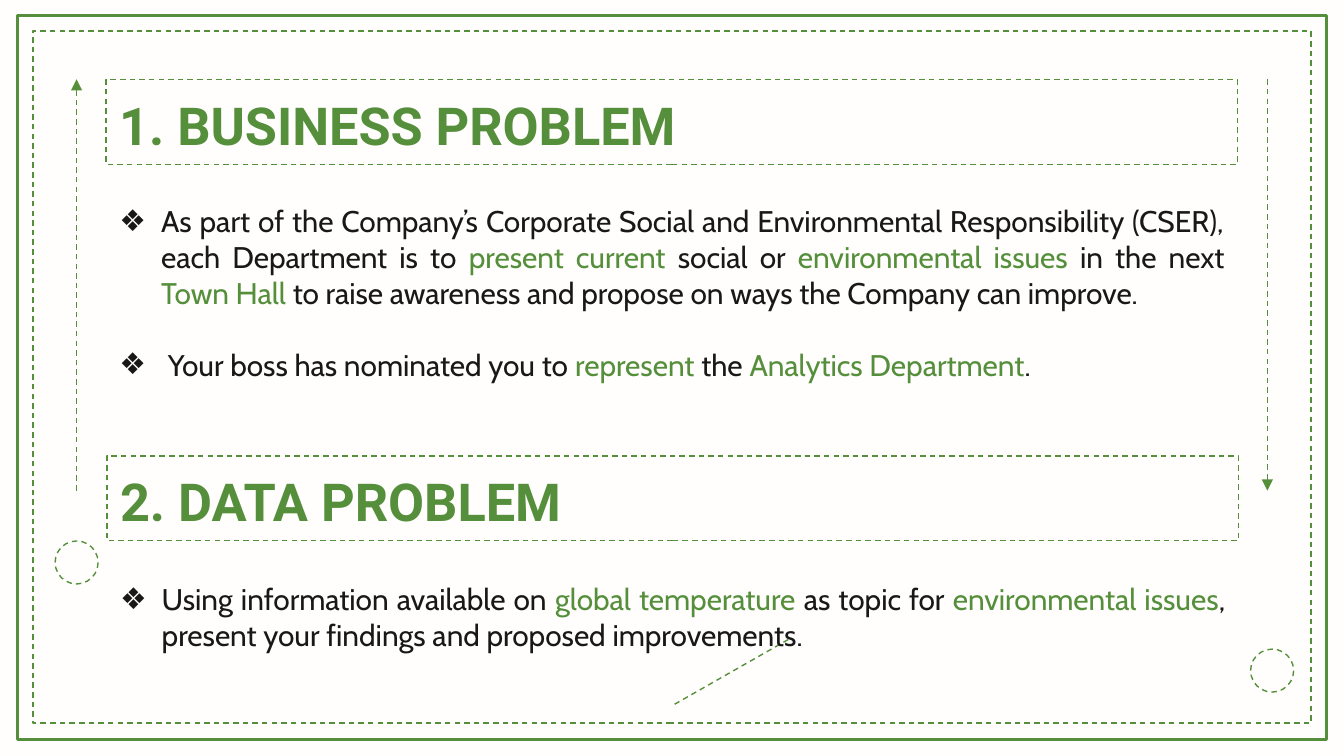
from pptx import Presentation
from pptx.dml.color import RGBColor
from pptx.enum.dml import MSO_LINE_DASH_STYLE as Dash
from pptx.enum.shapes import MSO_CONNECTOR as Connector, MSO_SHAPE as Shape
from pptx.enum.text import MSO_ANCHOR as Anchor, PP_ALIGN as Align
from pptx.oxml.ns import qn
from pptx.util import Inches, Pt
from lxml.etree import SubElement

GREEN = RGBColor(0x55, 0x8F, 0x3B)
INK = RGBColor(0x18, 0x18, 0x18)
PAPER = RGBColor(0xFF, 0xFE, 0xFC)

HEADING_FONT = "Roboto"
BODY_FONT = "Cabin"
COLUMNS = 100  # square grid cells across the slide width
INSET = Inches(0.1)
BULLET_INDENT = 0.31


def add_bullet(para, indent):
    props = para._p.get_or_add_pPr()
    props.set("marL", str(Inches(indent)))
    props.set("indent", str(-Inches(indent)))
    colour = SubElement(props, qn("a:buClr"))
    SubElement(colour, qn("a:srgbClr"), val=str(INK))
    SubElement(props, qn("a:buFont"), typeface=BODY_FONT)
    SubElement(props, qn("a:buChar"), char="❖")


def write(para, text, font, size, colour=INK, bold=False, align=Align.LEFT):
    """Fill a paragraph; the parts between asterisks turn green."""
    para.alignment = align
    for number, part in enumerate(text.split("*")):
        if part:
            span = para.add_run()
            span.text = part
            span.font.name = font
            span.font.size = Pt(size)
            span.font.bold = bold
            span.font.color.rgb = GREEN if number % 2 else colour


class ProblemSlide:
    """Draws in the slide's style, with lengths in grid cells."""

    def __init__(self, deck):
        self.page = deck.slides.add_slide(deck.slide_layouts[6])
        self.cell = deck.slide_width / COLUMNS
        self.page.background.fill.solid()
        self.page.background.fill.fore_color.rgb = PAPER

    def scale(self, *cells):
        return [round(self.cell * count) for count in cells]

    def style_line(self, line, width=0.75, dash=Dash.DASH):
        line.color.rgb = GREEN
        line.width = Pt(width)
        line.dash_style = dash

    def outline(self, kind, *place, fill=None, **line_style):
        shape = self.page.shapes.add_shape(kind, *self.scale(*place))
        shape.shadow.inherit = False
        if fill is None:
            shape.fill.background()
        else:
            shape.fill.solid()
            shape.fill.fore_color.rgb = fill
        self.style_line(shape.line, **line_style)
        return shape

    def circle(self, left, top):
        self.outline(Shape.OVAL, left, top, 3.2, 3.2, fill=PAPER)

    def line(self, *ends, arrow=False):
        line = self.page.shapes.add_connector(Connector.STRAIGHT, *self.scale(*ends))
        self.style_line(line.line)
        if arrow:
            SubElement(line.line._get_or_add_ln(), qn("a:tailEnd"), type="triangle")
        SubElement(line._element.spPr, qn("a:effectLst"))

    def text_frame(self, shape):
        frame = shape.text_frame
        frame.word_wrap = True
        frame.vertical_anchor = Anchor.TOP
        frame.margin_left = frame.margin_right = INSET
        frame.margin_top = frame.margin_bottom = INSET
        return frame

    def heading(self, left, top, text):
        frame = self.text_frame(self.outline(Shape.RECTANGLE, left, top, 84.2, 6.3))
        write(frame.paragraphs[0], text, HEADING_FONT, 28, GREEN, bold=True)

    def bullets(self, left, top, height, items):
        """Each item is a text and the indent of its bullet in inches."""
        box = self.page.shapes.add_textbox(*self.scale(left, top, 84.2, height))
        frame = self.text_frame(box)
        for number, (text, indent) in enumerate(items):
            para = frame.add_paragraph() if number else frame.paragraphs[0]
            add_bullet(para, indent)
            if number:
                para.space_before = Pt(19.4)
            write(para, text, BODY_FONT, 16, align=Align.JUSTIFY)


def main():
    deck = Presentation()
    deck.slide_width = Inches(10)
    deck.slide_height = deck.slide_width * 9 // 16
    slide = ProblemSlide(deck)

    slide.outline(Shape.RECTANGLE, 1.3, 1.15, 97.4, 53.9, width=1.5, dash=Dash.SOLID)
    slide.outline(Shape.RECTANGLE, 2.45, 2.3, 95.1, 51.5)
    slide.circle(4.1, 40.25)
    slide.line(5.7, 36.5, 5.7, 5.9, arrow=True)
    slide.line(94.3, 5.9, 94.3, 36.5, arrow=True)
    slide.circle(93.05, 48.3)
    slide.line(50.2, 52.4, 58.8, 47.5)

    slide.heading(7.88, 5.93, "1. BUSINESS PROBLEM")
    slide.bullets(7.9, 14.1, 15.1, [
        ("As part of the Company’s Corporate Social and Environmental Responsibility "
         "(CSER), each Department is to *present current *social or "
         "*environmental issues *in the next *Town Hall *to raise awareness and "
         "propose on ways the Company can improve.", BULLET_INDENT),
        ("Your boss has nominated you to *represent* the *Analytics Department*.",
         BULLET_INDENT + 0.05),
    ])

    slide.heading(7.95, 33.93, "2. DATA PROBLEM")
    slide.bullets(7.95, 42.2, 9.8, [
        ("Using information available on *global temperature *as topic for "
         "*environmental issues*, present your findings and proposed improvements.",
         BULLET_INDENT),
    ])

    deck.save("out.pptx")


if __name__ == "__main__":
    main()
